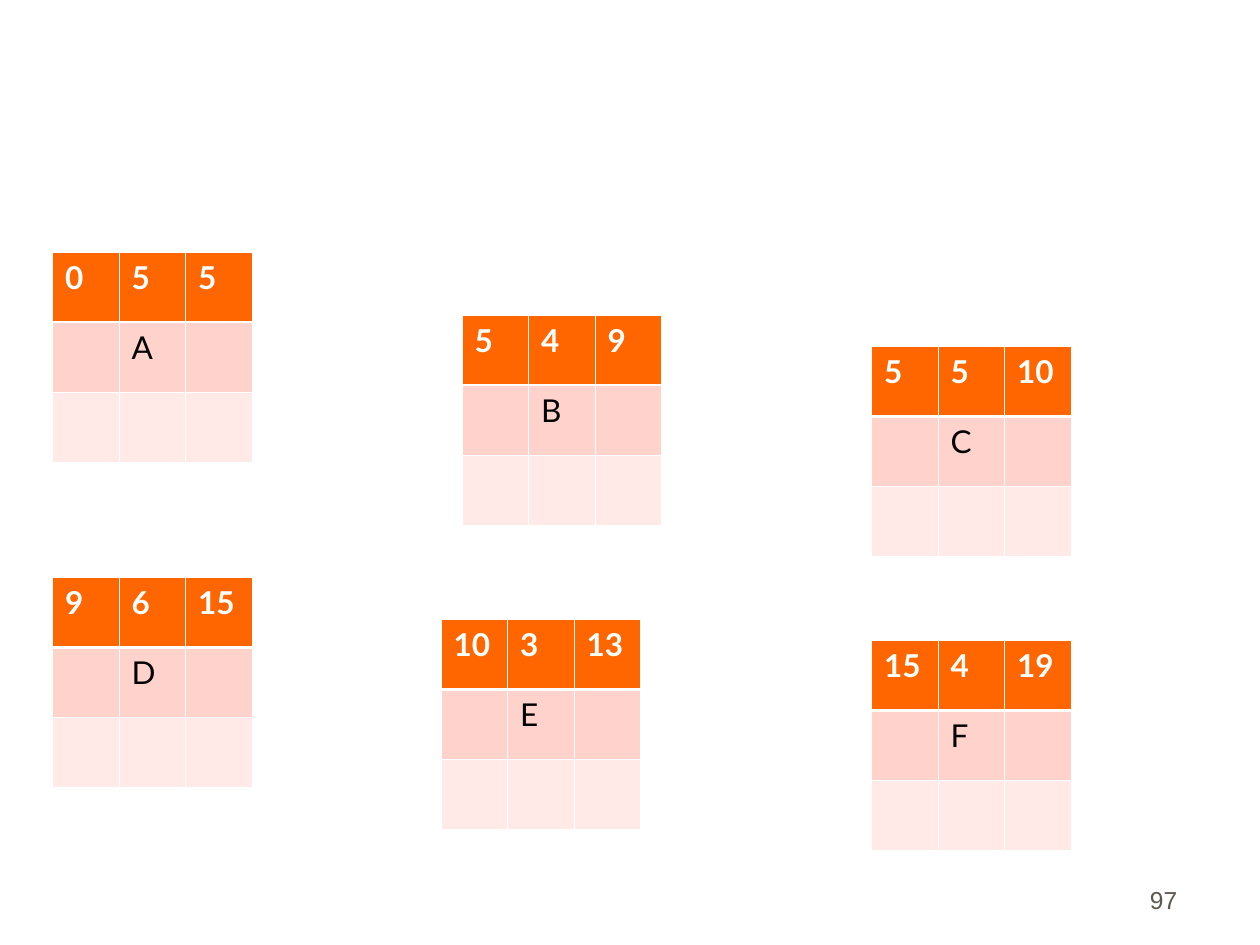
from dataclasses import dataclass

from lxml.etree import SubElement
from pptx import Presentation
from pptx.dml.color import RGBColor
from pptx.enum.text import MSO_ANCHOR, PP_ALIGN
from pptx.oxml.ns import qn
from pptx.util import Emu, Pt

PX = 7620  # EMU per px, 120 px to the inch


@dataclass(frozen=True)
class Theme:
    header: str = "FF6600"
    name_row: str = "FFD3CB"
    slack_row: str = "FFEAE7"
    border: str = "FFFFFF"
    header_text: str = "FFFFFF"
    body_text: str = "000000"
    number_text: str = "5E574E"
    table_font: str = "Lato"
    number_font: str = "Arial"
    table_size: int = 18
    number_size: int = 14
    thin: float = 0.45
    thick: float = 1.47


THEME = Theme()
NODE_SIZE = (190, 200)

# Activity, (early start, duration, early finish), left and top
ACTIVITIES = [
    ("A", (0, 5, 5), (50, 240)),
    ("B", (5, 4, 9), (440, 300)),
    ("C", (5, 5, 10), (830, 330)),
    ("D", (9, 6, 15), (50, 550)),
    ("E", (10, 3, 13), (420, 590)),
    ("F", (15, 4, 19), (830, 610)),
]


def px(*lengths):
    return [Emu(length * PX) for length in lengths]


def write(frame, text, *, font, size, color, bold=False, align=PP_ALIGN.LEFT):
    paragraph = frame.paragraphs[0]
    paragraph.alignment = align
    run = paragraph.add_run()
    run.text = text
    run.font.name = font
    run.font.size = Pt(size)
    run.font.bold = bold
    run.font.color.rgb = RGBColor.from_string(color)


def set_borders(cell, *, top, bottom):
    properties = cell._tc.get_or_add_tcPr()
    widths = {"L": THEME.thin, "R": THEME.thin, "T": top, "B": bottom}
    for side, width in widths.items():
        line = SubElement(properties, qn(f"a:ln{side}"), w=str(Pt(width)))
        fill = SubElement(line, qn("a:solidFill"))
        SubElement(fill, qn("a:srgbClr"), val=THEME.border)


def add_activity(slide, name, times, box):
    table = slide.shapes.add_table(3, 3, *px(*box)).table
    table.horz_banding = False
    rows = [[str(time) for time in times], ["", name, ""], ["", "", ""]]
    fills = [THEME.header, THEME.name_row, THEME.slack_row]

    for r, (texts, fill) in enumerate(zip(rows, fills)):
        is_header = r == 0
        for c, text in enumerate(texts):
            cell = table.cell(r, c)
            # The thick rule runs between the header and the name row
            set_borders(cell,
                        top=THEME.thick if r == 1 else THEME.thin,
                        bottom=THEME.thick if is_header else THEME.thin)
            cell.fill.solid()
            cell.fill.fore_color.rgb = RGBColor.from_string(fill)
            if text:
                write(cell.text_frame, text, font=THEME.table_font,
                      size=THEME.table_size, bold=is_header,
                      color=THEME.header_text if is_header else THEME.body_text)


def add_slide_number(slide, number, box):
    frame = slide.shapes.add_textbox(*px(*box)).text_frame
    frame.word_wrap = True
    frame.vertical_anchor = MSO_ANCHOR.BOTTOM
    write(frame, number, font=THEME.number_font, size=THEME.number_size,
          color=THEME.number_text, align=PP_ALIGN.RIGHT)


def main():
    presentation = Presentation()
    presentation.slide_width, presentation.slide_height = px(1200, 900)
    slide = presentation.slides.add_slide(presentation.slide_layouts[6])

    # Activity network
    for name, times, corner in ACTIVITIES:
        add_activity(slide, name, times, corner + NODE_SIZE)

    # Footer
    add_slide_number(slide, "97", (883, 817, 250, 60))

    presentation.save("out.pptx")


if __name__ == "__main__":
    main()
